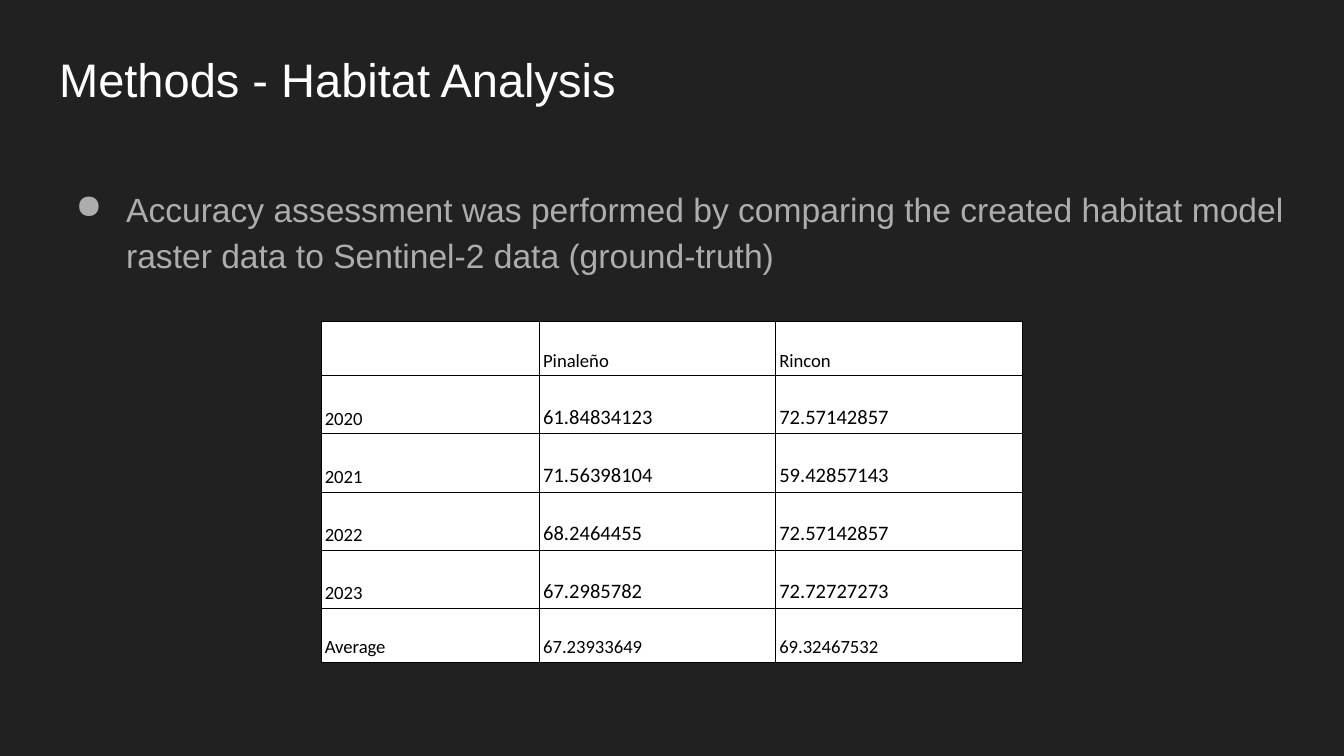
from lxml.etree import SubElement
from pptx import Presentation
from pptx.dml.color import RGBColor
from pptx.enum.text import MSO_ANCHOR, MSO_AUTO_SIZE, PP_ALIGN
from pptx.oxml.ns import qn
from pptx.util import Pt

BACKGROUND, WHITE, BLACK, GREY = "212121", "FFFFFF", "000000", "ADADAD"
MARGIN, CONTENT_WIDTH = 24.5, 671
COLUMN_WIDTHS = [117, 126.5, 132.3]
EDGE_ROW_HEIGHT, YEAR_ROW_HEIGHT = 28.9, 31.1
ACCURACY = [
    ["", "Pinaleño", "Rincon"],
    ["2020", "61.84834123", "72.57142857"],
    ["2021", "71.56398104", "59.42857143"],
    ["2022", "68.2464455", "72.57142857"],
    ["2023", "67.2985782", "72.72727273"],
    ["Average", "67.23933649", "69.32467532"],
]


def color(hex_value):
    return RGBColor.from_string(hex_value)


def style(paragraph, size, hex_value, font_name="Arial"):
    paragraph.font.size = Pt(size)
    paragraph.font.name = font_name
    paragraph.font.color.rgb = color(hex_value)


def set_insets(target, inset):
    target.margin_left = target.margin_right = Pt(inset)
    target.margin_top = target.margin_bottom = Pt(inset)


def add_title(slide, left, top, width, height):
    title = slide.shapes.title
    title.left, title.top, title.width, title.height = map(Pt, (left, top, width, height))
    frame = title.text_frame
    frame.text = "Methods - Habitat Analysis"
    frame.auto_size = MSO_AUTO_SIZE.NONE
    frame.vertical_anchor = MSO_ANCHOR.BOTTOM
    set_insets(frame, 7.2)
    paragraph = frame.paragraphs[0]
    paragraph.alignment = PP_ALIGN.LEFT
    style(paragraph, 25.2, WHITE)


def add_body(slide, left, top, width, height):
    frame = slide.shapes.add_textbox(*map(Pt, (left, top, width, height))).text_frame
    frame.word_wrap = True
    set_insets(frame, 7.2)
    paragraph = frame.paragraphs[0]
    paragraph.text = ("Accuracy assessment was performed by comparing the created "
                      "habitat model raster data to Sentinel-2 data (ground-truth)")
    paragraph.line_spacing = 1.15

    # Hanging bullet
    properties = paragraph._p.get_or_add_pPr()
    properties.set("marL", str(Pt(36)))
    properties.set("indent", str(Pt(-27)))
    bullet_color = SubElement(properties, qn("a:buClr"))
    SubElement(bullet_color, qn("a:srgbClr"), val=GREY)
    SubElement(properties, qn("a:buChar"), char="●")
    style(paragraph, 18, GREY)


def add_borders(cell, hex_value, width):
    properties = cell._tc.get_or_add_tcPr()
    for side in ("lnL", "lnR", "lnT", "lnB"):
        line = SubElement(properties, qn(f"a:{side}"), w=str(Pt(width)))
        fill = SubElement(line, qn("a:solidFill"))
        SubElement(fill, qn("a:srgbClr"), val=hex_value)


def add_accuracy_table(slide, left, top):
    last_row = len(ACCURACY) - 1
    heights = [EDGE_ROW_HEIGHT if row in (0, last_row) else YEAR_ROW_HEIGHT
               for row in range(len(ACCURACY))]
    table = slide.shapes.add_table(
        len(ACCURACY), len(COLUMN_WIDTHS), Pt(left), Pt(top),
        Pt(sum(COLUMN_WIDTHS)), Pt(sum(heights))).table
    for column, width in zip(table.columns, COLUMN_WIDTHS):
        column.width = Pt(width)
    for row, height in zip(table.rows, heights):
        row.height = Pt(height)

    # Yearly values are slightly larger than the labels and averages
    for row_index, values in enumerate(ACCURACY):
        for column_index, value in enumerate(values):
            cell = table.cell(row_index, column_index)
            add_borders(cell, BLACK, 0.6)
            cell.fill.solid()
            cell.fill.fore_color.rgb = color(WHITE)
            cell.vertical_anchor = MSO_ANCHOR.BOTTOM
            set_insets(cell, 2)
            cell.text = value
            paragraph = cell.text_frame.paragraphs[0]
            paragraph.line_spacing = 1.15
            is_yearly_value = 0 < row_index < last_row and column_index > 0
            style(paragraph, 11 if is_yearly_value else 10, BLACK, "Calibri")


def main():
    presentation = Presentation()
    presentation.slide_width, presentation.slide_height = Pt(720), Pt(405)
    slide = presentation.slides.add_slide(presentation.slide_layouts[5])
    slide.background.fill.solid()
    slide.background.fill.fore_color.rgb = color(BACKGROUND)

    add_title(slide, MARGIN, 19.5, CONTENT_WIDTH, 45)
    add_body(slide, MARGIN, 90.75, CONTENT_WIDTH, 269)
    add_accuracy_table(slide, 172, 172.5)
    presentation.save("out.pptx")


if __name__ == "__main__":
    main()
